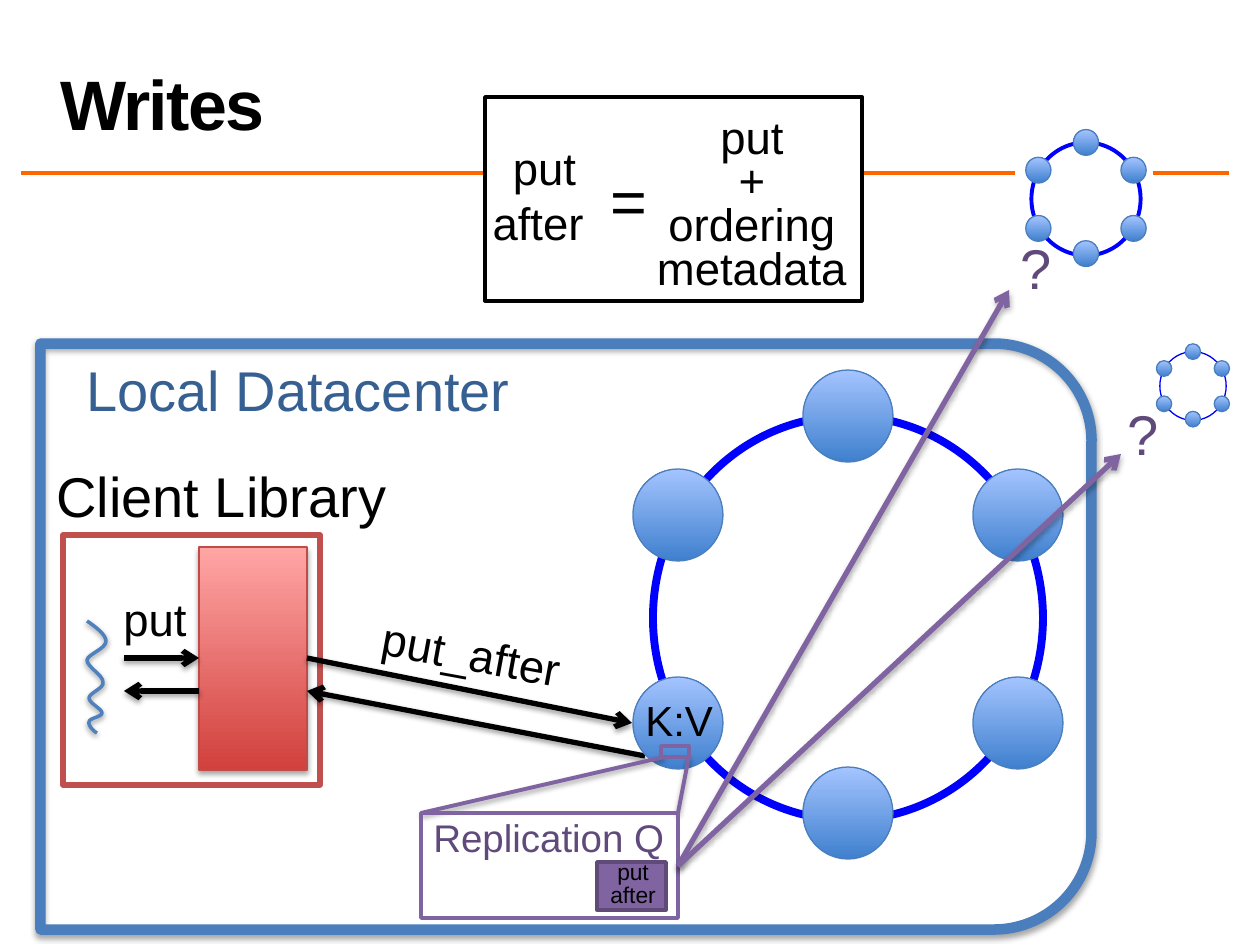
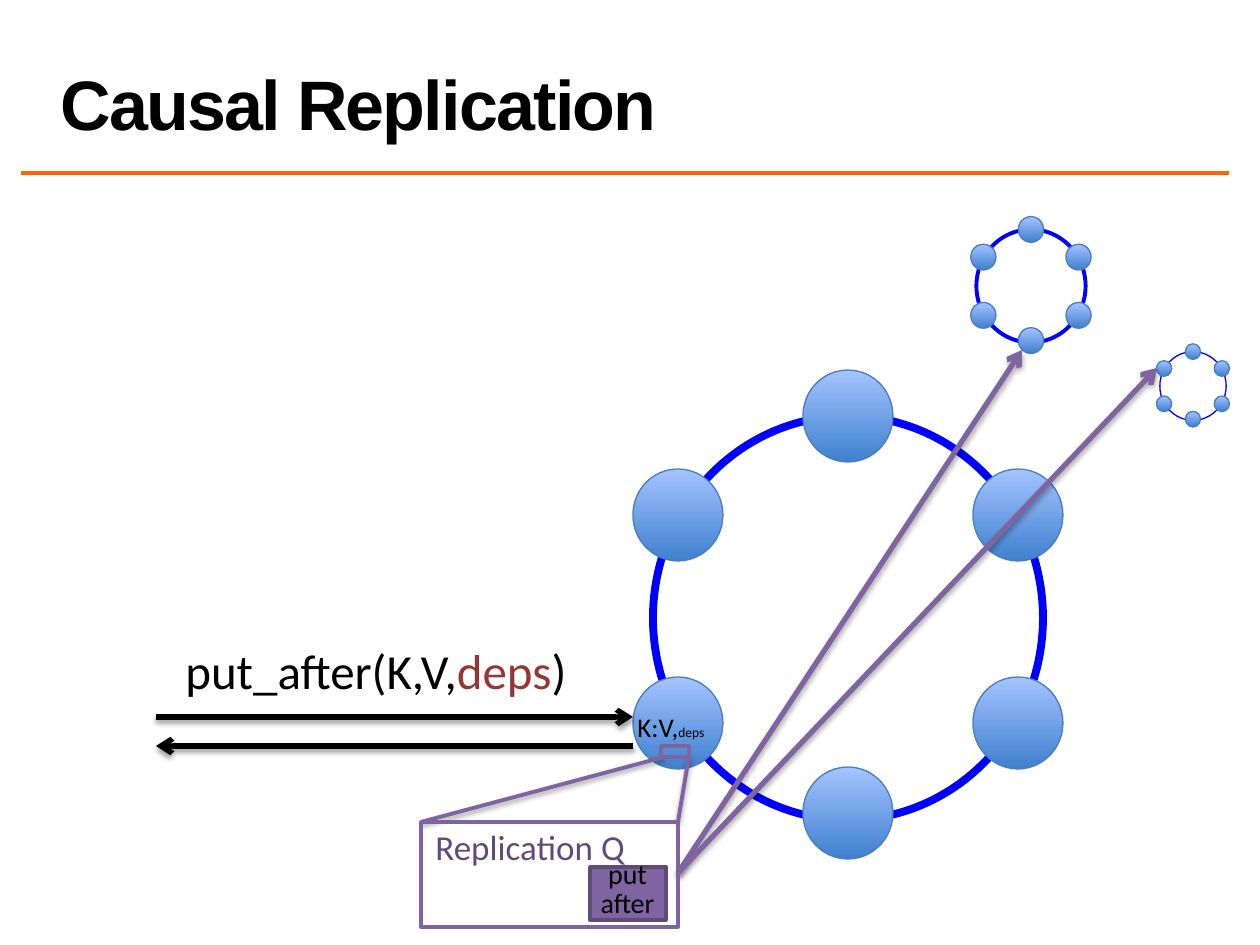
"""Build two slides on writes and causal replication in a key-value store."""
import dataclasses

import lxml.etree
import pptx
import pptx.dml.color
import pptx.enum.shapes
import pptx.enum.text
import pptx.oxml.ns
import pptx.util

SHAPE = pptx.enum.shapes.MSO_SHAPE
ALIGN = pptx.enum.text.PP_ALIGN
ANCHOR = pptx.enum.text.MSO_ANCHOR
SIZING = pptx.enum.text.MSO_AUTO_SIZE
SCALE = 914400 / 126


@dataclasses.dataclass(frozen=True)
class Theme:
    """Hold colours, fonts, type sizes and shadows."""
    black: str = "000000"
    white: str = "FFFFFF"
    rule: str = "FF6600"
    ring: str = "0000FF"
    edge: str = "4B7EBC"
    wave: str = "4F81BD"
    site: str = "376092"
    red: str = "C0504D"
    rust: str = "BF4C48"
    deps: str = "953735"
    plum: str = "8064A2"
    dark: str = "5F4A78"
    grape: str = "604A7B"
    node: tuple = ("3F80CE", "A4C4FF")
    blush: tuple = ("D1403C", "FFA6A5")
    sans: str = "Arial"
    human: str = "Calibri"
    title: float = 40
    equal: float = 36
    head: float = 32
    call: float = 28
    body: float = 26
    key: float = 24
    soft: tuple = (35, 1.8)
    firm: tuple = (38, 1.6)


T = Theme()


def px(n):
    """Turn picture pixels into EMU."""
    return pptx.util.Emu(round(n * SCALE))


def rgb(code):
    """Turn a hex code into a colour."""
    return pptx.dml.color.RGBColor.from_string(code)


def shade(item, shadow=None):
    """Give an item its own effect list, with a drop shadow if asked."""
    qn = pptx.oxml.ns.qn
    effects = lxml.etree.SubElement(item._element.spPr, qn("a:effectLst"))
    if shadow:
        alpha, gap = shadow
        drop = lxml.etree.SubElement(
            effects, qn("a:outerShdw"), blurRad=str(pptx.util.Pt(3.1)),
            dist=str(pptx.util.Pt(gap)), dir="5400000", rotWithShape="0")
        tone = lxml.etree.SubElement(drop, qn("a:srgbClr"), val=T.black)
        lxml.etree.SubElement(tone, qn("a:alpha"), val=str(alpha * 1000))


def stroke(item, color, width):
    """Set the line of a shape or connector."""
    item.line.color.rgb = rgb(color)
    item.line.width = pptx.util.Pt(width)


def paint(item, fill, color, width, shadow=None):
    """Set fill, line and shadow of a shape."""
    if fill is None:
        item.fill.background()
    elif isinstance(fill, tuple):
        item.fill.gradient()
        item.fill.gradient_angle = 90
        for stop, code in zip(item.fill.gradient_stops, fill):
            stop.color.rgb = rgb(code)
    else:
        item.fill.solid()
        item.fill.fore_color.rgb = rgb(fill)
    stroke(item, color, width)
    shade(item, shadow)


def shape(slide, kind, box, fill, color, width, shadow=None, turn=0):
    """Add a preset shape."""
    item = slide.shapes.add_shape(kind, *map(px, box))
    item.rotation = turn
    paint(item, fill, color, width, shadow)


def link(slide, start, end, color, width, shadow=None, arrow=False):
    """Add a straight line, with an arrowhead at its end if asked."""
    item = slide.shapes.add_connector(
        pptx.enum.shapes.MSO_CONNECTOR.STRAIGHT, *map(px, start + end))
    stroke(item, color, width)
    if arrow:
        lxml.etree.SubElement(item.line._get_or_add_ln(),
                              pptx.oxml.ns.qn("a:tailEnd"), type="arrow")
    shade(item, shadow)


def arrow(slide, start, end, color=T.black, shadow=T.firm):
    """Add a thick arrow with a shadow."""
    link(slide, start, end, color, 3, shadow, True)


def text(slide, box, lines, size, color=T.black, face=T.sans, bold=False,
         align=ALIGN.LEFT, wrap=False, space=None, first=None, turn=0,
         track=0, anchor=ANCHOR.TOP):
    """Add a text box; a line is a string or a list of (text, size, colour)."""
    item = slide.shapes.add_textbox(*map(px, box))
    item.rotation = turn
    frame = item.text_frame
    frame.word_wrap = wrap
    frame.vertical_anchor = anchor
    frame.auto_size = (SIZING.SHAPE_TO_FIT_TEXT if anchor == ANCHOR.TOP
                       else SIZING.NONE)
    for i, line in enumerate(lines):
        para = frame.add_paragraph() if i else frame.paragraphs[0]
        para.alignment = align
        lead = first if first and i == 0 else space
        if lead:
            para.line_spacing = lead
        runs = [(line, size, color)] if isinstance(line, str) else line
        for words, points, tint in runs:
            run = para.add_run()
            run.text = words
            font = run.font
            font.name, font.bold = face, bold
            font.size = pptx.util.Pt(points)
            font.color.rgb = rgb(tint)
            if track:
                run._r.get_or_add_rPr().set("spc", str(track))


def frame(deck):
    """Add a blank slide with the orange rule."""
    slide = deck.slides.add_slide(deck.slide_layouts[6])
    link(slide, (21, 173), (1229, 173), T.rule, 2)
    return slide


def title(slide, words):
    """Add the slide title."""
    text(slide, (48, 3, 1181, 147), [words], T.title, bold=True, wrap=True,
         space=0.8, track=-100, anchor=ANCHOR.BOTTOM)


def ring(slide, x, y, ratio, width):
    """Add a ring of six nodes around a centre."""
    def disc(dx, dy, w, h, fill, color, line):
        """Add an ellipse around a point offset from the centre."""
        shape(slide, SHAPE.OVAL,
              (x + (dx - w / 2) * ratio, y + (dy - h / 2) * ratio,
               w * ratio, h * ratio), fill, color, line)
    disc(0, 0, 390, 404, None, T.ring, width)
    for dx, dy in ((0, -202), (-170, -103), (0, 195),
                   (170, 105), (170, -103), (-170, 105)):
        disc(dx, dy, 90, 92, T.node, T.edge, 0.75)


def rings(slide, x, y):
    """Add the local ring, a far one at a given centre and the farthest."""
    ring(slide, 848, 618, 1, 4.5)
    ring(slide, 1193, 386, 0.17, 0.75)
    ring(slide, x, y, 0.28, 2.25)


def queue(slide, top, label, job, note, size, points, face):
    """Add the replication queue, zoomed out of its node."""
    for start, end in (((678, top), (689, 756)), ((421, top), (664, 757))):
        link(slide, start, end, T.plum, 2.25, T.soft)
    shape(slide, SHAPE.RECTANGLE, (421, top, 257, 105), None, T.plum, 2)
    text(slide, label, ["Replication Q"], size, T.grape, face)
    shape(slide, SHAPE.RECTANGLE, (661, 746, 28, 11), None, T.plum, 2)
    shape(slide, SHAPE.RECTANGLE, job, T.plum, T.dark, 2)
    text(slide, note, ["put", "after"], points, face=face,
         align=ALIGN.CENTER, first=0.1)


def spread(slide, y, *ends):
    """Add arrows from the queue to the far rings."""
    for end in ends:
        arrow(slide, (678, y), end, T.plum, T.soft)


def wave(slide, start, curves):
    """Add a wavy line through cubic curves."""
    points, last = [], start
    for a, b, end in curves:
        for i in range(1, 9):
            t = i / 8
            u = 1 - t
            points.append(tuple(
                px(u**3 * p + 3 * u * u * t * q + 3 * u * t * t * r + t**3 * s)
                for p, q, r, s in zip(last, a, b, end)))
        last = end
    pen = slide.shapes.build_freeform(*map(px, start))
    pen.add_line_segments(points, close=False)
    paint(pen.convert_to_shape(), None, T.wave, 2, T.firm)


def client(slide):
    """Add the client library with its thread."""
    shape(slide, SHAPE.RECTANGLE, (63, 535, 257, 250), T.white, T.red, 3)
    shape(slide, SHAPE.RECTANGLE, (199, 547, 108, 223), T.blush, T.rust,
          0.75, T.soft)
    text(slide, (44, 455, 406, 81), ["Client Library"], T.head, wrap=True)
    arrow(slide, (199, 691), (124, 691))
    arrow(slide, (124, 658), (199, 658))
    text(slide, (111, 585, 89, 68), ["put"], T.body)
    wave(slide, (87, 621), (
        ((96, 627), (106, 635), (106, 641)),
        ((106, 649), (88, 654), (87, 660)),
        ((87, 667), (103, 675), (103, 682)),
        ((105, 688), (89, 693), (89, 698)),
        ((89, 703), (102, 709), (102, 713)),
        ((102, 717), (89, 718), (89, 722)),
        ((88, 725), (93, 731), (97, 733))))


def equation(slide):
    """Add the box that defines put after."""
    shape(slide, SHAPE.RECTANGLE, (485, 97, 377, 204), T.white, T.black, 2)
    for box, lines, size, space in (
            ((638, 113, 228, 189), ["put", "+", "ordering", "metadata"],
             T.body, 0.8),
            ((475, 134, 139, 123), ["put", "after "], T.body, None),
            ((559, 155, 139, 89), ["="], T.equal, None)):
        text(slide, box, lines, size, align=ALIGN.CENTER, wrap=True,
             space=space)


def writes(deck):
    """Build the slide on writes."""
    slide = frame(deck)
    shape(slide, SHAPE.RECTANGLE, (1016, 158, 136, 30), T.white, T.white, 0.75)
    client(slide)
    arrow(slide, (645, 756), (307, 691))
    rings(slide, 1086, 199)
    arrow(slide, (307, 658), (632, 723))
    text(slide, (369, 620, 207, 68), ["put_after"], T.body, turn=10.4)
    for x, y in ((1008, 227), (1115, 393)):
        text(slide, (x, y, 57, 81), ["?"], T.head, T.grape)
    queue(slide, 813, (421, 808, 258, 59), (597, 862, 69, 48),
          (597, 872, 72, 44), 22, 13, T.sans)
    text(slide, (633, 688, 93, 71), ["K:V"], T.key)
    equation(slide)
    shape(slide, SHAPE.ROUND_2_SAME_RECTANGLE, (273, 111, 586, 1051), None,
          T.edge, 6, T.soft, 90)
    spread(slide, 866, (1009, 290), (1121, 454))
    text(slide, (74, 349, 452, 81), ["Local Datacenter"], T.head, T.site)
    title(slide, "Writes")


def causal(deck):
    """Build the slide on causal replication."""
    slide = frame(deck)
    rings(slide, 1031, 286)
    spread(slide, 873, (1022, 350), (1157, 368))
    queue(slide, 822, (423, 819, 217, 55), (590, 867, 76, 53),
          (587, 876, 81, 50), 20, 16, T.human)
    arrow(slide, (156, 717), (633, 717))
    text(slide, (173, 634, 412, 72),
         [[("put_after(K,V,", T.call, T.black), ("deps", T.call, T.deps),
           (")", T.call, T.black)]], T.call, face=T.human)
    arrow(slide, (633, 746), (156, 746))
    text(slide, (625, 704, 92, 44),
         [[("K:V,", 15.4, T.black), ("deps", 7.7, T.black)]], 15.4,
         face=T.human)
    title(slide, "Causal Replication")


def main():
    """Build and save the deck."""
    deck = pptx.Presentation()
    deck.slide_width, deck.slide_height = px(1260), px(945)
    writes(deck)
    causal(deck)
    deck.save("out.pptx")


main()
